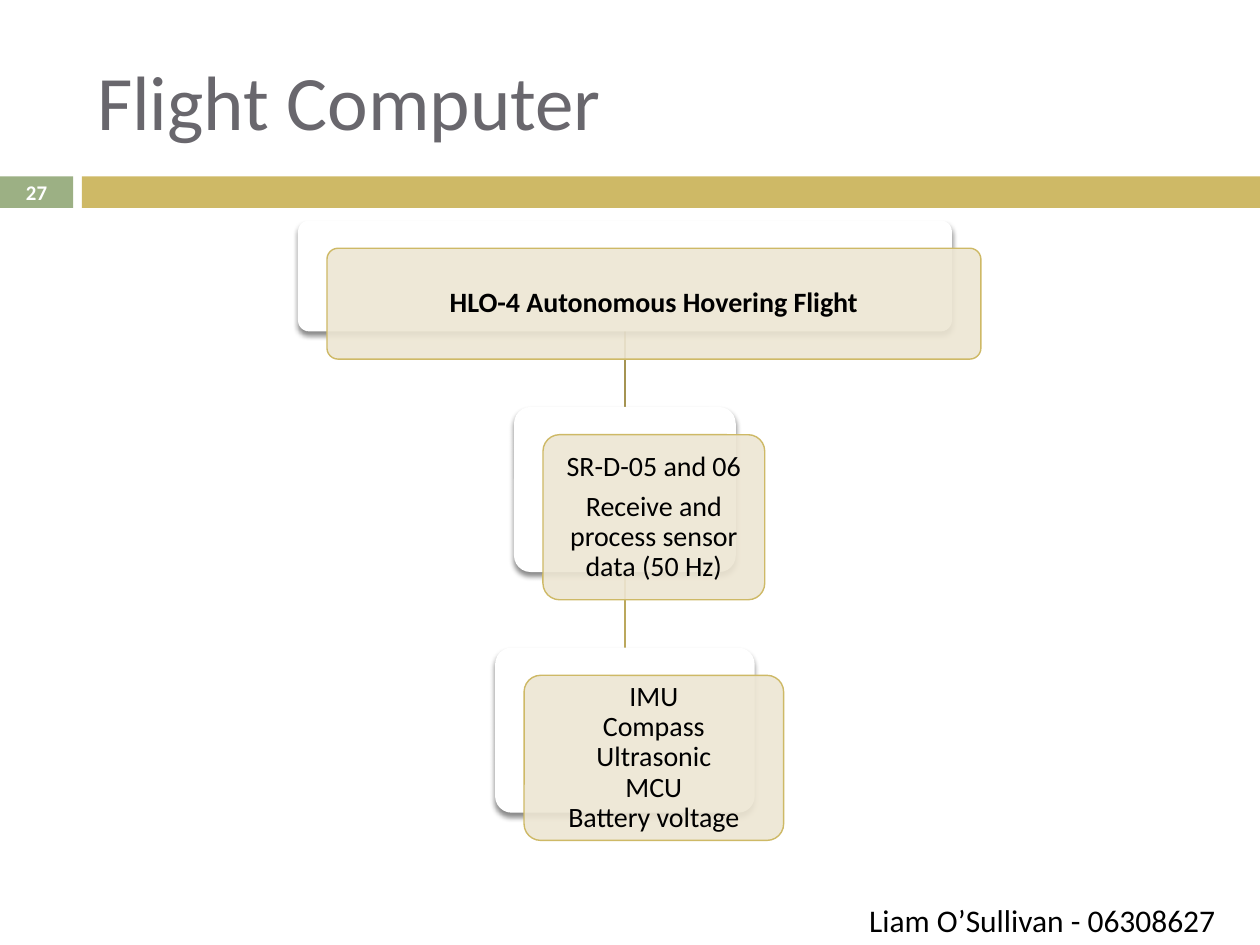
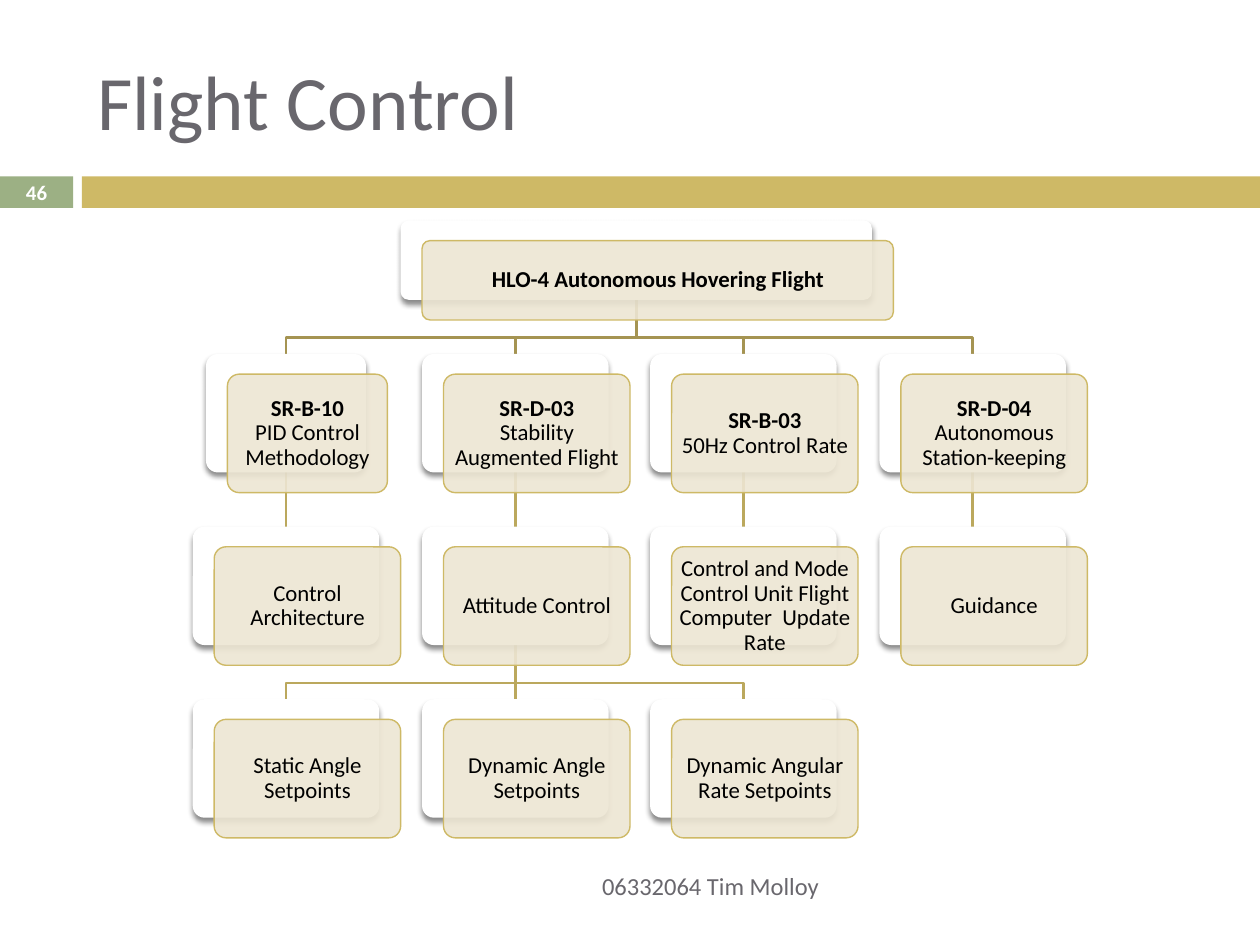
from copy import deepcopy
from lxml import etree
from pptx import Presentation
from pptx.dml.color import RGBColor
from pptx.enum.shapes import MSO_CONNECTOR, MSO_SHAPE
from pptx.enum.text import MSO_ANCHOR, PP_ALIGN
from pptx.oxml.ns import qn
from pptx.util import Inches, Pt

RECT, ROUND = MSO_SHAPE.RECTANGLE, MSO_SHAPE.ROUNDED_RECTANGLE
LINE, MID = MSO_CONNECTOR.STRAIGHT, MSO_ANCHOR.MIDDLE
LEFT, MIDDLE, RIGHT = PP_ALIGN.LEFT, PP_ALIGN.CENTER, PP_ALIGN.RIGHT

WHITE = RGBColor(0xFF, 0xFF, 0xFF)
BLACK = RGBColor(0, 0, 0)
GREY = RGBColor(0x69, 0x67, 0x6D)
GREEN = RGBColor(0x9C, 0xB0, 0x84)
GOLD = RGBColor(0xCE, 0xB9, 0x66)
CREAM = RGBColor(0xED, 0xE6, 0xD3)
DARK = RGBColor(0xA5, 0x94, 0x52)
OCHRE = RGBColor(0xBB, 0xA8, 0x5D)

# Content: a row holds (centre x, width, parent's place in the row above,
# paragraphs); a line that starts with * is bold
ROOT = ["*HLO-4 Autonomous Hovering Flight"]
COLS = [round(2.27 + 1.817 * i, 2) for i in range(4)]
WIDE = 1.48

SLIDES = [
    dict(
        title="Flight Computer", number="27",
        foot=dict(text="Liam O’Sullivan - 06308627", box=(6.8, 7.1, 3.07, 0.4),
                  size=18, color=BLACK, align=LEFT),
        size=16, inset=0.07, gap=0.6, shift=(0.23, 0.22), heights=[0.88, 1.31, 1.31],
        rows=[
            [(4.96, 5.19, None, ROOT)],
            [(4.96, 1.76, 0, ["SR-D-05 and 06",
                              "Receive and process sensor data (50 Hz)"])],
            [(4.96, 2.06, 0, ["IMU\nCompass\nUltrasonic\nMCU\nBattery voltage"])],
        ]),
    dict(
        title="Flight Control", number="46",
        foot=dict(text="06332064 Tim Molloy", box=(0.67, 6.83, 5.93, 0.4),
                  size=14, color=GREY, align=RIGHT),
        size=13, inset=0.05, gap=0.43, shift=(0.17, 0.16),
        heights=[0.63, 0.94, 0.94, 0.94],
        rows=[
            [(5.05, 3.74, None, ROOT)],
            [(COLS[0], 1.27, 0, ["*SR-B-10\nPID Control Methodology"]),
             (COLS[1], WIDE, 0, ["*SR-D-03\nStability Augmented Flight"]),
             (COLS[2], WIDE, 0, ["*SR-B-03\n50Hz Control Rate"]),
             (COLS[3], WIDE, 0, ["*SR-D-04\nAutonomous Station-keeping"])],
            [(COLS[0], WIDE, 0, ["Control Architecture"]),
             (COLS[1], WIDE, 1, ["Attitude Control"]),
             (COLS[2], WIDE, 2, ["Control and Mode Control Unit Flight "
                                 "Computer  Update Rate"]),
             (COLS[3], WIDE, 3, ["Guidance"])],
            [(COLS[0], WIDE, 1, ["Static Angle Setpoints"]),
             (COLS[1], WIDE, 1, ["Dynamic Angle Setpoints"]),
             (COLS[2], WIDE, 1, ["Dynamic Angular Rate Setpoints"])],
        ]),
]


def style(item, **values):
    for name, value in values.items():
        setattr(item, name, value)


def place(item, x, y, w, h):
    style(item, left=Inches(x), top=Inches(y), width=Inches(w), height=Inches(h))


def write(frame, paras, size, color, align, inset=(0.1, 0.05), **form):
    """Fill a text frame; inset is (side, top and bottom)."""
    side, edge = map(Inches, inset)
    style(frame, word_wrap=True, vertical_anchor=MID, margin_left=side,
          margin_right=side, margin_top=edge, margin_bottom=edge)
    for i, text in enumerate(paras):
        para = frame.add_paragraph() if i else frame.paragraphs[0]
        style(para, alignment=align, **form)
        for j, line in enumerate(text.split("\n")):
            if j:
                para.add_line_break()
            run = para.add_run()
            run.text = line.removeprefix("*")
            style(run.font, name="Calibri", size=Pt(size), bold=line.startswith("*"))
            run.font.color.rgb = color
        # Line breaks take the text size too
        for br in para._p.findall(qn("a:br")):
            br.append(deepcopy(run._r.rPr))


def block(slide, kind, box, fill, edge=None):
    shape = slide.shapes.add_shape(kind, *map(Inches, box))
    shape.shadow.inherit = False
    shape.fill.solid()
    shape.fill.fore_color.rgb = fill
    if edge is None:
        shape.line.fill.background()
    else:
        shape.line.color.rgb = edge
        shape.line.width = Pt(0.79)
    if kind == ROUND:
        shape.adjustments[0] = 0.1
    return shape


def alpha(color, share):
    etree.SubElement(color, qn("a:alpha"), val=str(share * 1000))


def frame(slide, data):
    """Title, bands, slide number and footer."""
    title = slide.shapes.title
    place(title, 0.67, 0.25, 8.92, 1.08)
    write(title.text_frame, [data["title"]], 44, GREY, LEFT)
    tag = block(slide, RECT, (0, 1.4, 0.58, 0.25), GREEN)
    write(tag.text_frame, ["*" + data["number"]], 11.9, WHITE, MIDDLE, (0, 0))
    block(slide, RECT, (0.65, 1.4, 9.35, 0.25), GOLD)
    foot = data["foot"]
    box = slide.shapes.add_textbox(*map(Inches, foot["box"]))
    write(box.text_frame, [foot["text"]], foot["size"], foot["color"], foot["align"])


def link(slide, start, end, color):
    """Straight line, or an elbow that turns at 0.7 of the drop."""
    (x, y), (tox, toy) = start, end
    if x == tox:
        line = slide.shapes.add_connector(LINE, *map(Inches, (x, y, tox, toy)))
        etree.SubElement(line._element.spPr, qn("a:effectLst"))
    else:
        turn = y + 0.7 * (toy - y)
        pen = slide.shapes.build_freeform(Inches(x), Inches(y))
        pen.add_line_segments([(Inches(a), Inches(b)) for a, b in
                               ((x, turn), (tox, turn), end)], close=False)
        line = pen.convert_to_shape()
        line.fill.background()
        line.shadow.inherit = False
    line.line.color.rgb = color
    line.line.width = Pt(1.5)


def card(slide, box, paras, data):
    """White card with a shadow, and a cream card in front that holds text."""
    x, y, w, h = box
    back = block(slide, ROUND, box, WHITE)
    effect = back._element.spPr.find(qn("a:effectLst"))
    shade = etree.SubElement(effect, qn("a:outerShdw"), blurRad=str(Pt(3)),
                             dist=str(Pt(2.4)), dir="5400000", rotWithShape="0")
    alpha(etree.SubElement(shade, qn("a:srgbClr"), val=str(BLACK)), 45)

    dx, dy = data["shift"]
    front = block(slide, ROUND, (x + dx, y + dy, w, h), CREAM, GOLD)
    alpha(front._element.spPr.find(qn("a:solidFill"))[0], 90)
    # The round corners already inset the text by 0.029 of the height
    inset = data["inset"] - 0.029 * h
    write(front.text_frame, paras, data["size"], BLACK, MIDDLE, (inset, inset),
          line_spacing=0.9, space_after=Pt(0.35 * data["size"]))


def tree(slide, data):
    rows, highs, gap = data["rows"], data["heights"], data["gap"]
    tops = [1.75 + sum(highs[:i]) + gap * i for i in range(len(rows))]
    # Links lie behind all the cards
    for i in range(1, len(rows)):
        for mid, _, up, _ in rows[i]:
            start = rows[i - 1][up][0], tops[i] - gap
            link(slide, start, (mid, tops[i]), DARK if i == 1 else OCHRE)
    for row, top, high in zip(rows, tops, highs):
        for mid, wide, _, paras in row:
            card(slide, (mid - wide / 2, top, wide, high), paras, data)


def main():
    deck = Presentation()
    style(deck, slide_width=Inches(10), slide_height=Inches(7.5))
    for data in SLIDES:
        slide = deck.slides.add_slide(deck.slide_layouts[5])
        frame(slide, data)
        tree(slide, data)
    deck.save("out.pptx")


if __name__ == "__main__":
    main()
